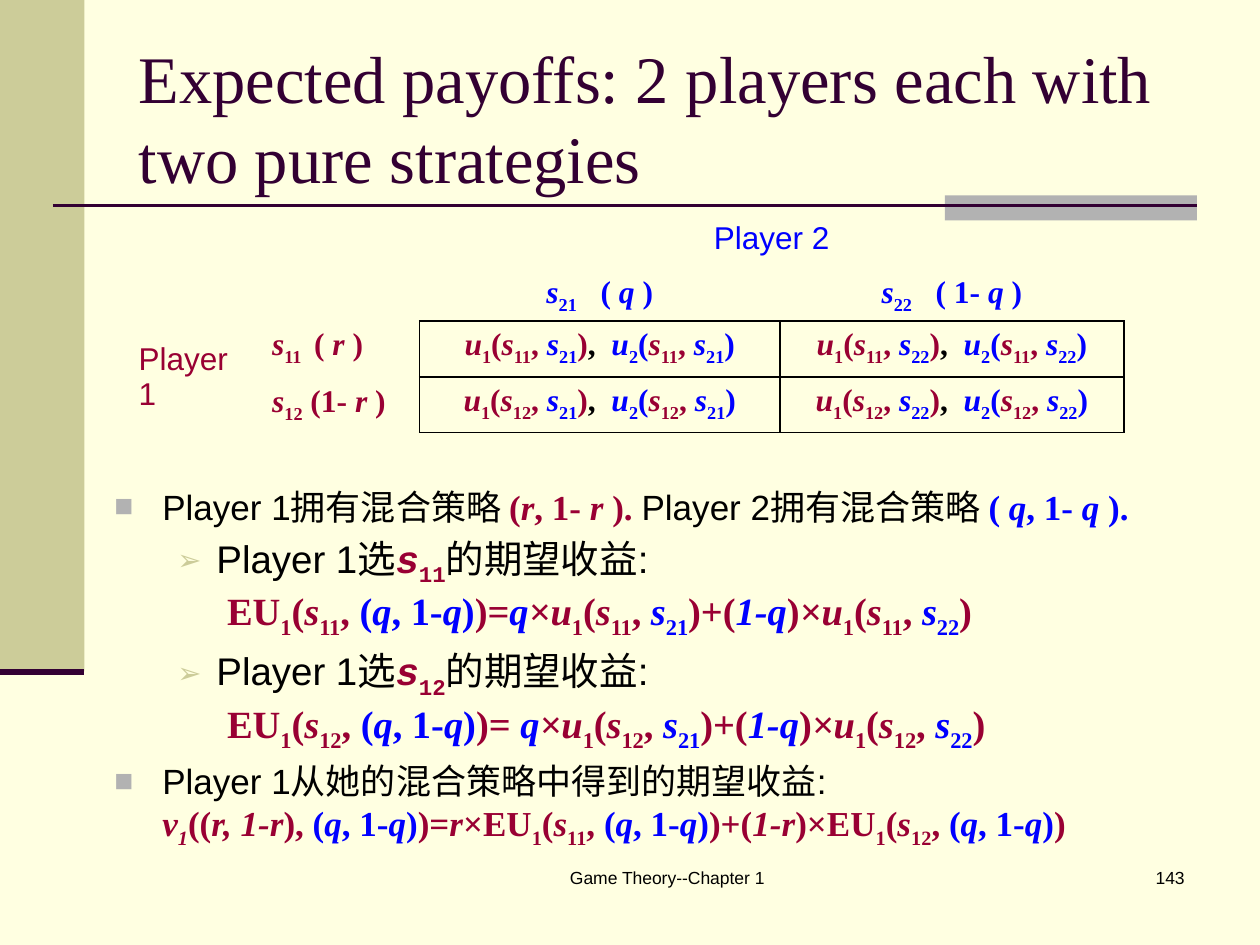
from itertools import product

from pptx import Presentation
from pptx import util as u
from pptx.dml.color import RGBColor
from pptx.enum import shapes, text
from pptx.oxml import ns
from lxml import etree

INK = {"page": "FFFFE1", "sand": "CCCC99", "gray": "B2B2B2", "plum": "330033",
       "red": "990033", "blue": "0000FF", "black": "000000"}
SERIF, SANS, MONO = "Times New Roman", "Arial", "Courier New"
STYLES = {
    "@": (SANS, "black", False), "%": (SANS, "blue", False),
    "&": (SANS, "red", False), "#": (SERIF, "black", True),
    "^": (SERIF, "red", True), "~": (SERIF, "blue", True),
    "$": (MONO, "red", True),
}
LEVELS = [
    {"size": 20, "left": 0.38, "hang": 0.38, "mark": "■", "ink": "gray", "pct": 90},
    {"size": 22, "left": 0.81, "hang": 0.31, "mark": "➢", "ink": "sand", "pct": 75},
]
PLAIN = "{2D5ABB26-0587-4C30-8999-92F81FD0307C}"
LEFT, MID, RIGHT = text.PP_ALIGN.LEFT, text.PP_ALIGN.CENTER, text.PP_ALIGN.RIGHT
TOP, CENTER, BASE = (text.MSO_ANCHOR.TOP, text.MSO_ANCHOR.MIDDLE,
                     text.MSO_ANCHOR.BOTTOM)


def rgb(name):
    return RGBColor.from_string(INK[name])


def put(thing, **values):
    for key, value in values.items():
        setattr(thing, key, value)


def sub(parent, tag, **values):
    return etree.SubElement(parent, ns.qn(tag), values)


def place(box):
    return [u.Inches(n) for n in box]


def write(para, marked, size):
    """Style marks pick a font and colour, * flips italic, _ flips subscript."""
    style, slant, low, word = STYLES["@"], False, False, ""

    def flush():
        if not word:
            return
        run = para.add_run()
        run.text = word
        face, ink, bold = style
        put(run.font, name=face, size=u.Pt(size), bold=bold, italic=slant)
        run.font.color.rgb = rgb(ink)
        if low:
            run._r.get_or_add_rPr().set("baseline", "-25000")

    for char in marked:
        if char not in STYLES and char not in "*_\n":
            word += char
            continue
        flush()
        word = ""
        if char in STYLES:
            style = STYLES[char]
        elif char == "*":
            slant = not slant
        elif char == "_":
            low = not low
        else:
            para.add_line_break()
    flush()


def bar(slide, box, ink):
    shape = slide.shapes.add_shape(shapes.MSO_SHAPE.RECTANGLE, *place(box))
    shape.shadow.inherit = False
    shape.fill.solid()
    shape.fill.fore_color.rgb = rgb(ink)
    shape.line.fill.background()


def rule(slide, ends, width):
    line = slide.shapes.add_connector(shapes.MSO_CONNECTOR.STRAIGHT, *place(ends))
    line.line.color.rgb = rgb("plum")
    line.line.width = u.Pt(width)
    sub(line._element.spPr, "a:effectLst")


def note(slide, box, words, align):
    frame = slide.shapes.add_textbox(*place(box)).text_frame
    frame.word_wrap = True
    para = frame.paragraphs[0]
    para.alignment = align
    write(para, words, 10)


def head(slide, words):
    title = slide.shapes.title
    left, top, width, height = place((1, 0.3, 8.5, 1.25))
    put(title, left=left, top=top, width=width, height=height)
    frame = title.text_frame
    put(frame, word_wrap=True, auto_size=text.MSO_AUTO_SIZE.NONE,
        vertical_anchor=CENTER)
    para = frame.paragraphs[0]
    para.alignment = LEFT
    run = para.add_run()
    run.text = words
    put(run.font, name=SERIF, size=u.Pt(38), bold=False)
    run.font.color.rgb = rgb("plum")


def bullet(para, form):
    props = para._p.get_or_add_pPr()
    props.set("marL", str(u.Inches(form["left"])))
    props.set("indent", str(-u.Inches(form["hang"])))
    sub(sub(props, "a:buClr"), "a:srgbClr", val=INK[form["ink"]])
    sub(props, "a:buSzPct", val=str(form["pct"] * 1000))
    sub(props, "a:buFont", typeface=SANS)
    sub(props, "a:buChar", char=form["mark"])


def body(slide, box, items):
    frame = slide.shapes.add_textbox(*place(box)).text_frame
    frame.word_wrap = True
    for index, (level, words) in enumerate(items):
        para = frame.add_paragraph() if index else frame.paragraphs[0]
        form = LEVELS[level]
        para.level = level
        bullet(para, form)
        if index:
            para.space_before = u.Pt(form["size"] * 0.2)
        write(para, words, form["size"])


def border(cell):
    props = cell._tc.get_or_add_tcPr()
    for side in "LRTB":
        line = sub(props, f"a:ln{side}", w=str(u.Pt(1)))
        sub(sub(line, "a:solidFill"), "a:srgbClr", val=INK["black"])


def fill(cell, words, align, anchor):
    cell.vertical_anchor = anchor
    para = cell.text_frame.paragraphs[0]
    para.alignment = align
    write(para, words, 18)


def payoff(row, col):
    return f"^*u*_1_(*s*_1{row}_, ~*s*_2{col}_^)"


def pair(row, col):
    return payoff(row, col) + f"#,  ~*u*_2_(^*s*_1{row}_, ~*s*_2{col}_)"


def expect(row):
    return f"^EU_1_(*s*_1{row}_, ~(*q*, 1-*q*)^)"


def choice(row, gap):
    return (f"@Player 1选$*s*_1{row}_@的期望收益:\n {expect(row)}={gap}~*q*^*×*"
            f"{payoff(row, 1)}+(~*1-q*^)*×*{payoff(row, 2)}")


def matrix(slide):
    cols, rows = (1.06, 1.27, 2.86, 2.73), (0.47, 0.47, 0.42, 0.42)
    box = (1, 1.61, sum(cols), sum(rows))
    table = slide.shapes.add_table(len(rows), len(cols), *place(box)).table
    put(table, first_row=False, horz_banding=False)
    table._tbl.tblPr.find(ns.qn("a:tableStyleId")).text = PLAIN
    for col, width in zip(table.columns, cols):
        col.width = u.Inches(width)
    for row, height in zip(table.rows, rows):
        row.height = u.Inches(height)
    for row, col in product(range(4), repeat=2):
        cell = table.cell(row, col)
        if row > 1 and col > 1:
            border(cell)
            fill(cell, pair(row - 1, col - 1), MID, TOP)
        cell.fill.background()
    table.cell(0, 2).merge(table.cell(0, 3))
    table.cell(2, 0).merge(table.cell(3, 0))
    fill(table.cell(0, 2), "%Player 2", MID, BASE)
    fill(table.cell(1, 2), "~*s*_21_   ( *q* )", MID, BASE)
    fill(table.cell(1, 3), "~*s*_22_   ( 1- *q* )", MID, BASE)
    fill(table.cell(2, 0), "&Player 1", LEFT, CENTER)
    fill(table.cell(2, 1), "^*s*_11 _ ( *r* )", LEFT, TOP)
    fill(table.cell(3, 1), "^*s*_12_ (1- *r* )", LEFT, CENTER)


def main():
    deck = Presentation()
    put(deck, slide_width=u.Inches(10), slide_height=u.Inches(7.5))
    slide = deck.slides.add_slide(deck.slide_layouts[5])
    slide.background.fill.solid()
    slide.background.fill.fore_color.rgb = rgb("page")
    bar(slide, (0, 0, 0.67, 5.33), "sand")
    bar(slide, (7.5, 1.55, 2, 0.2), "gray")
    rule(slide, (0.42, 1.63, 9.5, 1.63), 1.5)
    rule(slide, (0, 5.33, 0.67, 5.33), 3.5)
    note(slide, (3.67, 6.83, 3.25, 0.5), "Game Theory--Chapter 1", MID)
    note(slide, (7.42, 6.83, 2.08, 0.5), "143", RIGHT)
    head(slide, "Expected payoffs: 2 players each with two pure strategies")
    body(slide, (0.81, 3.8, 8.67, 3.02), [
        (0, "@Player 1拥有混合策略 ^(*r*, 1- *r* ). "
            "@Player 2拥有混合策略 ~( *q*, 1- *q* )."),
        (1, choice(1, "")),
        (1, choice(2, " ")),
        (0, "@Player 1从她的混合策略中得到的期望收益:\n"
            "^*v_1_*((*r, 1-r*), ~(*q*, 1-*q*)^)=*r*×"
            f"{expect(1)}+(*1-r*)×{expect(2)}"),
    ])
    matrix(slide)
    deck.save("out.pptx")


if __name__ == "__main__":
    main()
